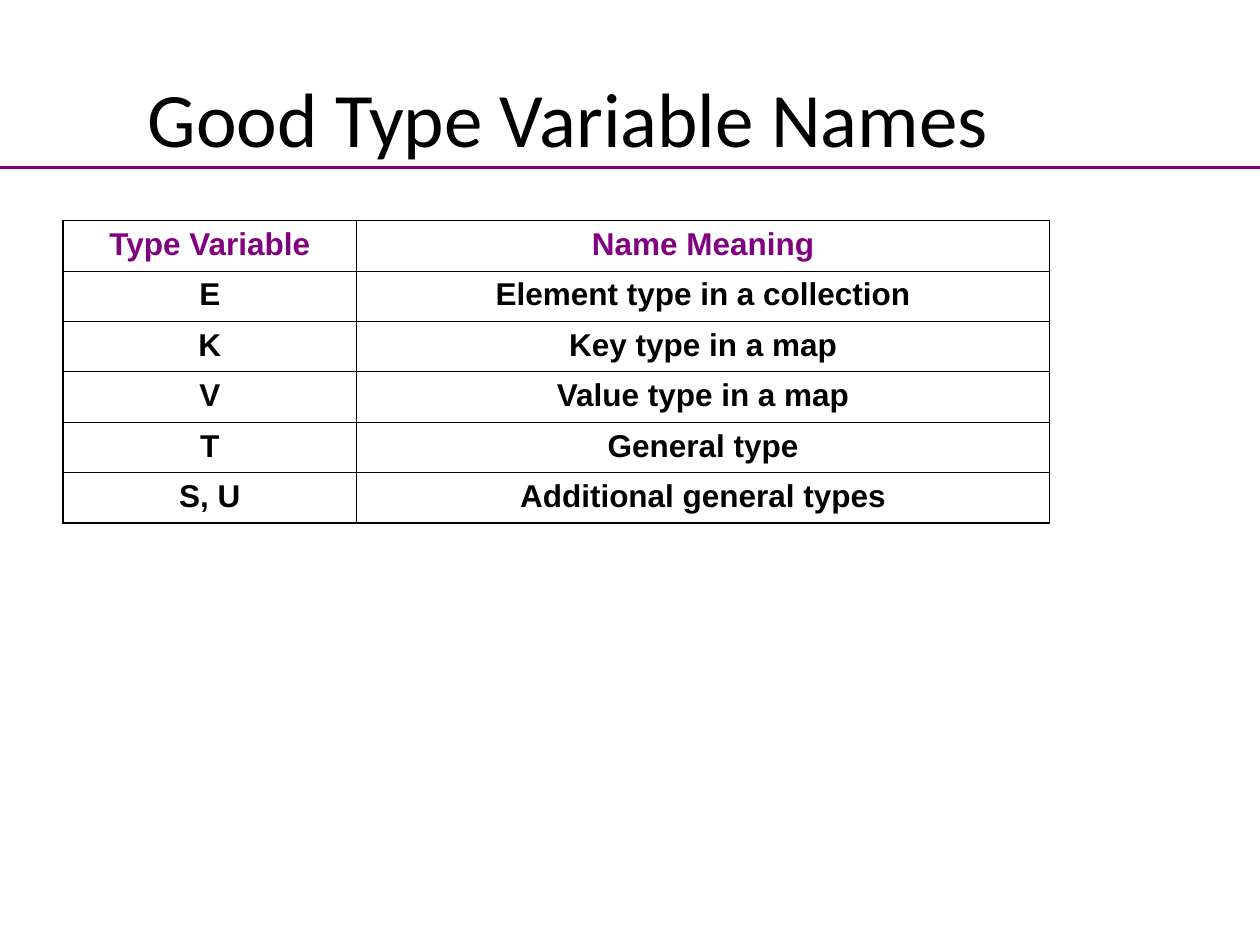
from dataclasses import dataclass

from lxml.etree import SubElement
from pptx import Presentation
from pptx.dml.color import RGBColor
from pptx.enum.shapes import MSO_CONNECTOR
from pptx.enum.text import MSO_ANCHOR, PP_ALIGN
from pptx.oxml.ns import qn
from pptx.util import Inches, Pt

# Content
TITLE = "Good Type Variable Names "
ROWS = [
    ("Type Variable", "Name Meaning"),
    ("E", "Element type in a collection"),
    ("K", "Key type in a map"),
    ("V", "Value type in a map"),
    ("T", "General type"),
    ("S, U", "Additional general types"),
]
COLUMN_WIDTHS = (2.33, 5.5)
ROW_HEIGHT = 0.4


@dataclass(frozen=True)
class Theme:
    ink: str = "000000"
    accent: str = "800080"
    background: str = "FFFFFF"
    title_font: str = "Calibri"
    table_font: str = "Arial"
    title_size: float = 44
    table_size: float = 18
    rule_width: float = 1.5
    outer_border: float = 1.08
    inner_border: float = 0.45


THEME = Theme()


def write_text(frame, text, *, font, size, color=THEME.ink, bold=False):
    frame.word_wrap = True
    paragraph = frame.paragraphs[0]
    paragraph.alignment = PP_ALIGN.CENTER
    run = paragraph.add_run()
    run.text = text
    run.font.name = font
    run.font.size = Pt(size)
    run.font.bold = bold
    run.font.color.rgb = RGBColor.from_string(color)


def set_borders(cell, outer_sides):
    """Draw all four borders, thicker on the sides at the table's edge."""
    properties = cell._tc.get_or_add_tcPr()
    for index, side in enumerate(("L", "R", "T", "B")):
        width = THEME.outer_border if side in outer_sides else THEME.inner_border
        line = SubElement(properties, qn(f"a:ln{side}"), w=str(Pt(width)))
        fill = SubElement(line, qn("a:solidFill"))
        SubElement(fill, qn("a:srgbClr"), val=THEME.ink)
        properties.remove(line)
        properties.insert(index, line)


def add_title(slide):
    box = slide.shapes.add_textbox(Inches(0.08), Inches(0.3), Inches(9), Inches(1.25))
    box.text_frame.vertical_anchor = MSO_ANCHOR.MIDDLE
    write_text(box.text_frame, TITLE, font=THEME.title_font, size=THEME.title_size)


def add_names_table(slide):
    last_row, last_column = len(ROWS) - 1, len(COLUMN_WIDTHS) - 1
    table = slide.shapes.add_table(
        len(ROWS), len(COLUMN_WIDTHS), Inches(0.5), Inches(1.75),
        Inches(sum(COLUMN_WIDTHS)), Inches(ROW_HEIGHT * len(ROWS)),
    ).table
    table.first_row = table.horz_banding = False
    for column, width in zip(table.columns, COLUMN_WIDTHS):
        column.width = Inches(width)

    for row_index, row in enumerate(ROWS):
        table.rows[row_index].height = Inches(ROW_HEIGHT)
        for column_index, text in enumerate(row):
            cell = table.cell(row_index, column_index)
            cell.fill.background()
            write_text(
                cell.text_frame, text, font=THEME.table_font, size=THEME.table_size,
                color=THEME.accent if row_index == 0 else THEME.ink, bold=True,
            )
            edges = {"L": column_index == 0, "R": column_index == last_column,
                     "T": row_index == 0, "B": row_index == last_row}
            set_borders(cell, [side for side, at_edge in edges.items() if at_edge])


def add_title_rule(slide, slide_width):
    rule = slide.shapes.add_connector(
        MSO_CONNECTOR.STRAIGHT, 0, Inches(1.33), slide_width, Inches(1.33))
    rule.line.color.rgb = RGBColor.from_string(THEME.accent)
    rule.line.width = Pt(THEME.rule_width)
    SubElement(rule._element.spPr, qn("a:effectLst"))


def main():
    presentation = Presentation()
    presentation.slide_width, presentation.slide_height = Inches(10), Inches(7.5)
    slide = presentation.slides.add_slide(presentation.slide_layouts[6])
    slide.background.fill.solid()
    slide.background.fill.fore_color.rgb = RGBColor.from_string(THEME.background)

    add_title(slide)
    add_names_table(slide)
    add_title_rule(slide, presentation.slide_width)
    presentation.save("out.pptx")


if __name__ == "__main__":
    main()
